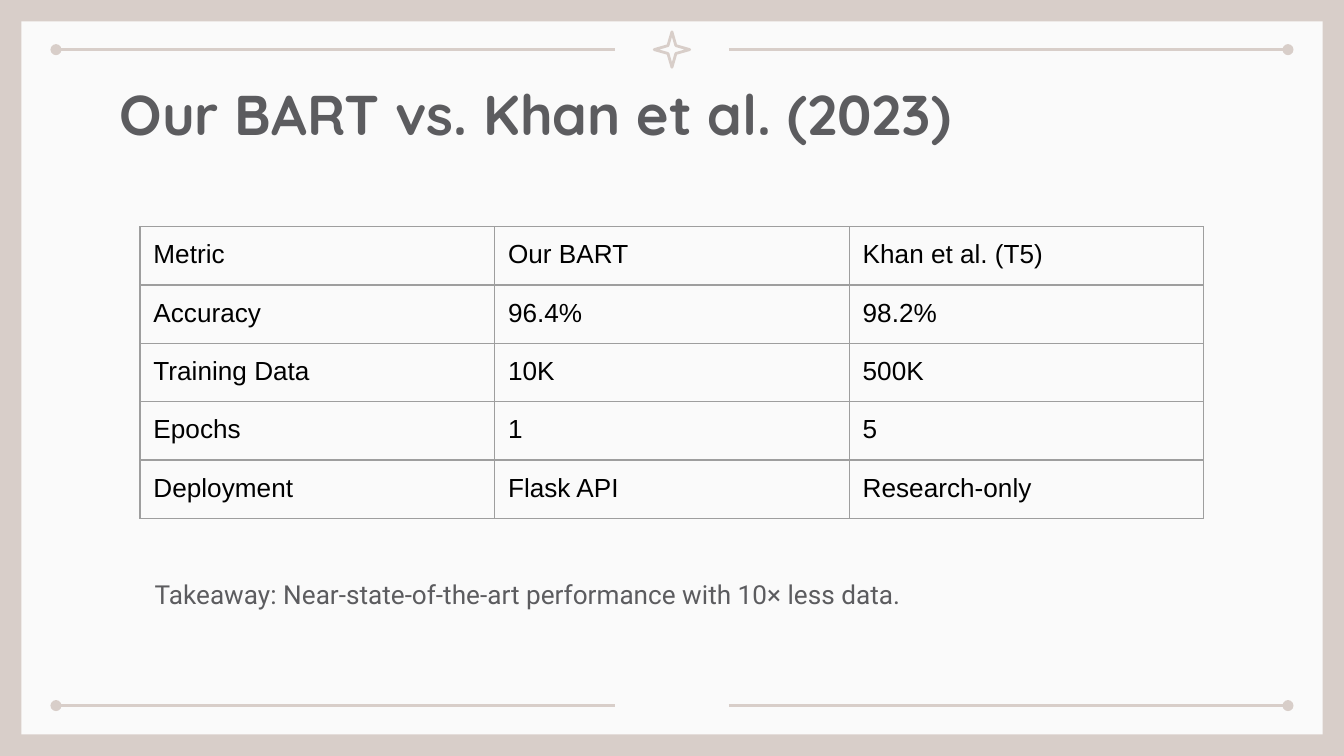
from lxml.etree import SubElement
from pptx import Presentation
from pptx.dml.color import RGBColor
from pptx.enum.shapes import MSO_CONNECTOR as CONN, MSO_SHAPE as SHAPE
from pptx.oxml.ns import qn
from pptx.util import Pt

TITLE = "Our BART vs. Khan et al. (2023)"
ROWS = [
    ("Metric", "Our BART", "Khan et al. (T5)"),
    ("Accuracy", "96.4%", "98.2%"),
    ("Training Data", "10K", "500K"),
    ("Epochs", "1", "5"),
    ("Deployment", "Flask API", "Research-only"),
]
TAKEAWAY = "Takeaway: Near-state-of-the-art performance with 10× less data."

BEIGE = RGBColor(0xD8, 0xCE, 0xC9)
PAPER = RGBColor(0xFA, 0xFA, 0xFA)
GRAY = RGBColor(0x5C, 0x5C, 0x5F)
BORDER = RGBColor(0x9E, 0x9E, 0x9E)
BLACK = RGBColor(0, 0, 0)

W, H = 720, 405
MARGIN = 11.5
RULE_INSET, RULE_LENGTH = 30, 299.5
RULE_TOP, RULE_BOTTOM = 26.6, 378
STAR = 19
INSET = 7.2
COL_W, ROW_H = 190, 30.1


def style(p, font, size, color, bold=False):
    for r in p.runs:
        r.font.name, r.font.size, r.font.bold = font, Pt(size), bold
        r.font.color.rgb = color


def set_insets(box):
    box.margin_left = box.margin_right = Pt(INSET)
    box.margin_top = box.margin_bottom = Pt(INSET)


def add_text(s, x, y, w, h, text, *look):
    tf = s.shapes.add_textbox(Pt(x), Pt(y), Pt(w), Pt(h)).text_frame
    tf.word_wrap = True
    set_insets(tf)
    tf.text = text
    style(tf.paragraphs[0], *look)


def add_rule(s, x1, x2, y, dot):
    line = s.shapes.add_connector(CONN.STRAIGHT, Pt(x1), Pt(y), Pt(x2), Pt(y))
    line.line.color.rgb, line.line.width = BEIGE, Pt(1.5)
    SubElement(line.line._get_or_add_ln(), qn(f"a:{dot}"), type="oval")
    SubElement(line._element.spPr, qn("a:effectLst"))


def add_borders(cell):
    tcPr = cell._tc.get_or_add_tcPr()
    for i, side in enumerate(("lnL", "lnR", "lnT", "lnB")):
        ln = tcPr.makeelement(qn(f"a:{side}"), {"w": str(Pt(0.75))})
        fill = SubElement(ln, qn("a:solidFill"))
        SubElement(fill, qn("a:srgbClr"), val=str(BORDER))
        tcPr.insert(i, ln)


def add_frame(s):
    s.background.fill.solid()
    s.background.fill.fore_color.rgb = BEIGE
    paper = s.shapes.add_shape(SHAPE.RECTANGLE, Pt(MARGIN), Pt(MARGIN),
                               Pt(W - 2 * MARGIN), Pt(H - 2 * MARGIN))
    paper.shadow.inherit = False
    paper.fill.solid()
    paper.fill.fore_color.rgb = PAPER
    paper.line.fill.background()

    for y in (RULE_TOP, RULE_BOTTOM):
        right = W - RULE_INSET
        add_rule(s, RULE_INSET, RULE_INSET + RULE_LENGTH, y, "headEnd")
        add_rule(s, right - RULE_LENGTH, right, y, "tailEnd")

    star = s.shapes.add_shape(SHAPE.STAR_4_POINT, Pt((W - STAR) / 2),
                              Pt(RULE_TOP - STAR / 2), Pt(STAR), Pt(STAR))
    star.adjustments[0] = 0.157
    star.shadow.inherit = False
    star.fill.background()
    star.line.color.rgb, star.line.width = BEIGE, Pt(1.5)


def add_metrics(s):
    n, m = len(ROWS), len(ROWS[0])
    table = s.shapes.add_table(n, m, Pt(75), Pt(121.5),
                               Pt(m * COL_W), Pt(n * ROW_H)).table
    table.first_row = table.horz_banding = False
    for col in table.columns:
        col.width = Pt(COL_W)
    for i, values in enumerate(ROWS):
        table.rows[i].height = Pt(ROW_H)
        for j, value in enumerate(values):
            cell = table.cell(i, j)
            cell.text = value
            set_insets(cell)
            cell.fill.background()
            add_borders(cell)
            style(cell.text_frame.paragraphs[0], "Arial", 14, BLACK)


def main():
    prs = Presentation()
    prs.slide_width, prs.slide_height = Pt(W), Pt(H)
    s = prs.slides.add_slide(prs.slide_layouts[6])
    add_frame(s)
    add_text(s, 57, 35.5, 607, 45, TITLE, "Quicksand", 30, GRAY, True)
    add_metrics(s)
    add_text(s, 75.8, 302.5, 570, 38, TAKEAWAY, "Roboto", 14, GRAY)
    prs.save("out.pptx")


if __name__ == "__main__":
    main()
